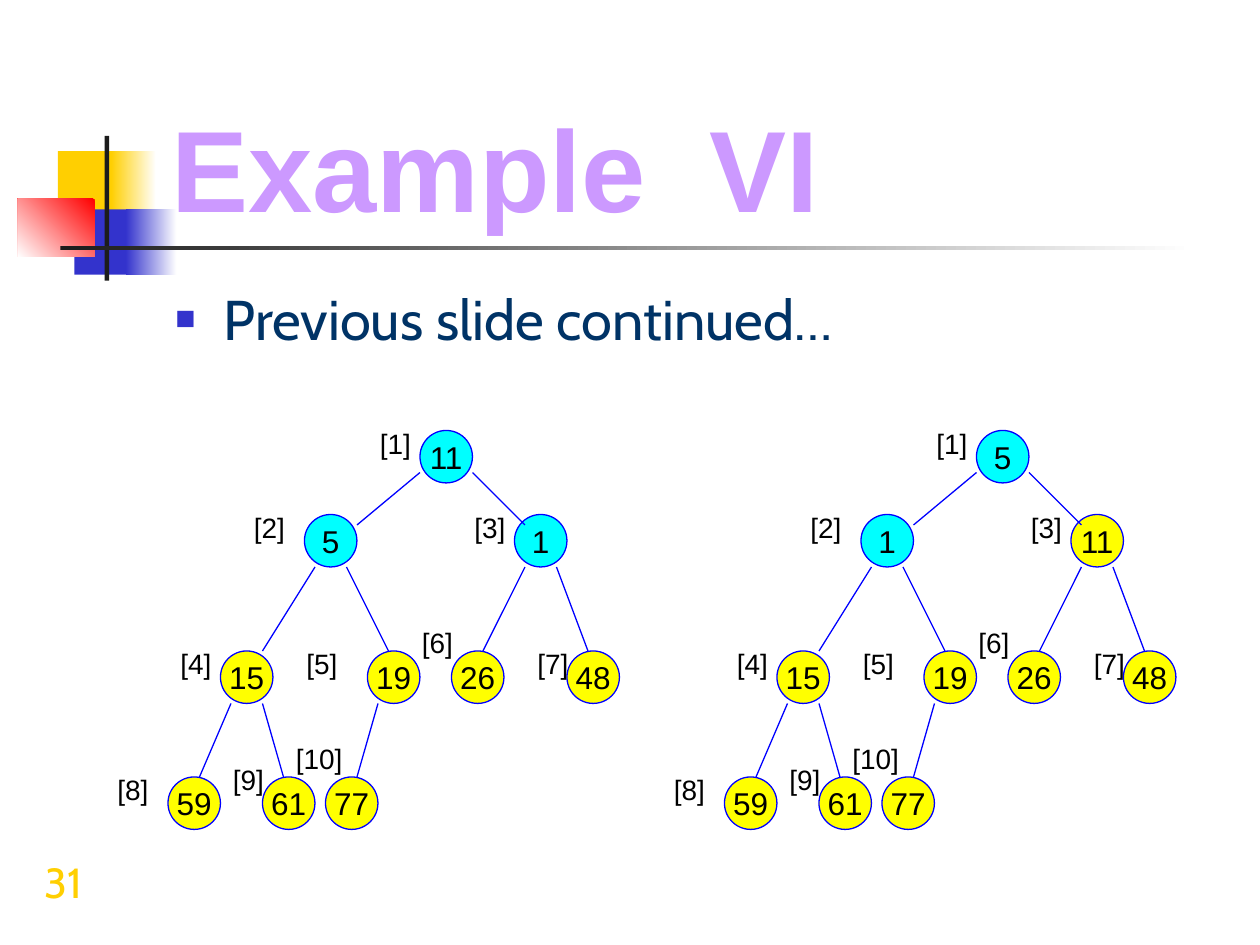
"""Build the slide that shows two steps of a heap example as binary trees."""
import pptx
import pptx.dml.color
import pptx.enum.shapes
import pptx.enum.text
import pptx.oxml
import pptx.oxml.ns
import pptx.util
from lxml import etree

TITLE = "Example  VI"
BULLET = "Previous slide continued…"
PAGE_NUMBER = "31"

COLORS = {
    "gold": "FFCF01", "blue": "3333CC", "red": "FF0000", "dark": "1C1C1C",
    "white": "FFFFFF", "lilac": "CC99FF", "navy": "003366", "black": "000000",
    "cyan": "00FFFF", "yellow": "FFFF00", "edge": "0000FF",
}

DECORATIONS = [
    {"box": (1.17, 3.05, 1.22, 1.32), "color": "gold"},
    {"box": (2.24, 3.05, 0.91, 1.32), "color": "gold", "fade": 0},
    {"box": (1.5, 4.22, 1.17, 1.32), "color": "blue"},
    {"box": (2.54, 4.22, 1.02, 1.32), "color": "blue", "fade": 0},
    {"box": (0.36, 4.01, 1.55, 1.17), "color": "red", "fade": 225},
    {"box": (2.11, 2.74, 0.09, 2.92), "color": "dark"},
    {"box": (1.22, 4.95, 22.86, 0.09), "color": "dark", "fade": 0},
]

GRID = 2.54 / 12
NODE_SIZE = 5
LABEL_HEIGHT = 4.4
NODES = [(40, 41), (29, 49), (49, 49), (21, 62), (35, 62),
         (43, 62), (54, 62), (16, 74), (25, 74), (31, 74)]
EDGES = [(40, 45, 34, 50), (45, 45, 50, 50), (30, 54, 25, 62),
         (33, 54, 37, 62), (50, 54, 46, 62), (53, 54, 56, 62),
         (22, 67, 19, 74), (25, 67, 27, 74), (36, 67, 34, 74)]
LABELS = [(35, 40, 6), (23, 48, 6), (44, 48, 7), (16, 61, 7), (28, 61, 7),
          (39, 59, 6), (50, 61, 6), (10, 73, 7), (21, 72, 7), (27, 70, 9)]
TREES = [
    {"shift": 0, "active": 3, "values": [11, 5, 1, 15, 19, 26, 48, 59, 61, 77]},
    {"shift": 53, "active": 2, "values": [5, 1, 11, 15, 19, 26, 48, 59, 61, 77]},
]


def rgb(name):
    """Return the named colour."""
    return pptx.dml.color.RGBColor.from_string(COLORS[name])


def centimetres(values, scale=1):
    """Return the values as lengths."""
    return [pptx.util.Cm(value * scale) for value in values]


def write(shape, text, size, color, font="Arial", bold=False):
    """Put one formatted paragraph into a shape."""
    paragraph = shape.text_frame.paragraphs[0]
    paragraph.text = text
    paragraph.font.name = font
    paragraph.font.size = pptx.util.Pt(size)
    paragraph.font.bold = bold
    paragraph.font.color.rgb = rgb(color)
    return paragraph


def add_text(slide, box, text, size, color, font="Arial"):
    """Add a wrapping text box."""
    shape = slide.shapes.add_textbox(*box)
    shape.text_frame.word_wrap = True
    write(shape, text, size, color, font)


def add_decoration(slide, box, color, fade=None):
    """Add a plain rectangle, or one that fades to white at an angle."""
    shape = slide.shapes.add_shape(
        pptx.enum.shapes.MSO_SHAPE.RECTANGLE, *centimetres(box))
    shape.shadow.inherit = False
    shape.line.fill.background()
    if fade is None:
        shape.fill.solid()
        shape.fill.fore_color.rgb = rgb(color)
        return
    shape.fill.gradient()
    shape.fill.gradient_angle = fade
    for position, (stop, name) in enumerate(
            zip(shape.fill.gradient_stops, (color, "white"))):
        stop.position = position
        stop.color.rgb = rgb(name)


def set_line(shape):
    """Give a node or an edge its thin blue line."""
    shape.line.color.rgb = rgb("edge")
    shape.line.width = pptx.util.Pt(0.75)


def add_node(slide, left, top, value, color):
    """Add one tree node."""
    shape = slide.shapes.add_shape(
        pptx.enum.shapes.MSO_SHAPE.OVAL,
        *centimetres((left, top, NODE_SIZE, NODE_SIZE), GRID))
    shape.shadow.inherit = False
    shape.fill.solid()
    shape.fill.fore_color.rgb = rgb(color)
    set_line(shape)
    shape.text_frame.word_wrap = False
    shape.text_frame.vertical_anchor = pptx.enum.text.MSO_ANCHOR.MIDDLE
    paragraph = write(shape, str(value), 18, "black")
    paragraph.alignment = pptx.enum.text.PP_ALIGN.CENTER


def add_edge(slide, ends):
    """Add one line between two nodes."""
    connector = slide.shapes.add_connector(
        pptx.enum.shapes.MSO_CONNECTOR.STRAIGHT, *centimetres(ends, GRID))
    set_line(connector)
    etree.SubElement(connector.element.spPr, pptx.oxml.ns.qn("a:effectLst"))


def add_tree(slide, shift, active, values):
    """Add the nodes, edges and index labels of one tree."""
    for index, ((left, top), value) in enumerate(zip(NODES, values)):
        add_node(slide, left + shift, top, value,
                 "cyan" if index < active else "yellow")
    for x1, y1, x2, y2 in EDGES:
        add_edge(slide, (x1 + shift, y1, x2 + shift, y2))
    for number, (left, top, width) in enumerate(LABELS, 1):
        box = centimetres((left + shift, top, width, LABEL_HEIGHT), GRID)
        add_text(slide, box, f"[{number}]", 16, "black")


def add_bullet(paragraph):
    """Give a paragraph a small blue square bullet and a hanging indent."""
    properties = paragraph._p.get_or_add_pPr()
    indent = pptx.util.Cm(0.97)
    properties.set("marL", str(indent))
    properties.set("indent", str(-indent))
    color = etree.SubElement(properties, pptx.oxml.ns.qn("a:buClr"))
    etree.SubElement(color, pptx.oxml.ns.qn("a:srgbClr"), val=COLORS["blue"])
    for tag, name, value in (("a:buSzPct", "val", "60000"),
                             ("a:buFont", "typeface", "Arial"),
                             ("a:buChar", "char", "■")):
        etree.SubElement(properties, pptx.oxml.ns.qn(tag)).set(name, value)


def place(shape, box, anchor):
    """Move a placeholder and bring it in front of the decorations."""
    shape.left, shape.top, shape.width, shape.height = centimetres(box)
    shape.text_frame.vertical_anchor = anchor
    shape.text_frame.word_wrap = True
    shape.text_frame.auto_size = pptx.enum.text.MSO_AUTO_SIZE.NONE
    shape.element.getparent().append(shape.element)


def main():
    """Build and save the presentation."""
    presentation = pptx.Presentation()
    presentation.slide_width, presentation.slide_height = centimetres((25.4, 19.05))
    slide = presentation.slides.add_slide(presentation.slide_layouts[1])
    for decoration in DECORATIONS:
        add_decoration(slide, **decoration)

    title, body = slide.placeholders
    place(title, (3.2, 1.7, 21.64, 3.18), pptx.enum.text.MSO_ANCHOR.BOTTOM)
    heading = write(title, TITLE, 66, "lilac", bold=True)
    heading.alignment = pptx.enum.text.PP_ALIGN.LEFT
    place(body, (3.28, 5.61, 21.59, 2.24), pptx.enum.text.MSO_ANCHOR.TOP)
    add_bullet(body.text_frame.paragraphs[0])
    item = write(body, BULLET, 32, "navy", "Cabin")
    item.space_before = pptx.util.Pt(0)

    for tree in TREES:
        add_tree(slide, **tree)
    add_text(slide, centimetres((0.64, 17.15, 1.7, 1.27)),
             PAGE_NUMBER, 24, "gold", "Cabin")
    presentation.save("out.pptx")


if __name__ == "__main__":
    main()
